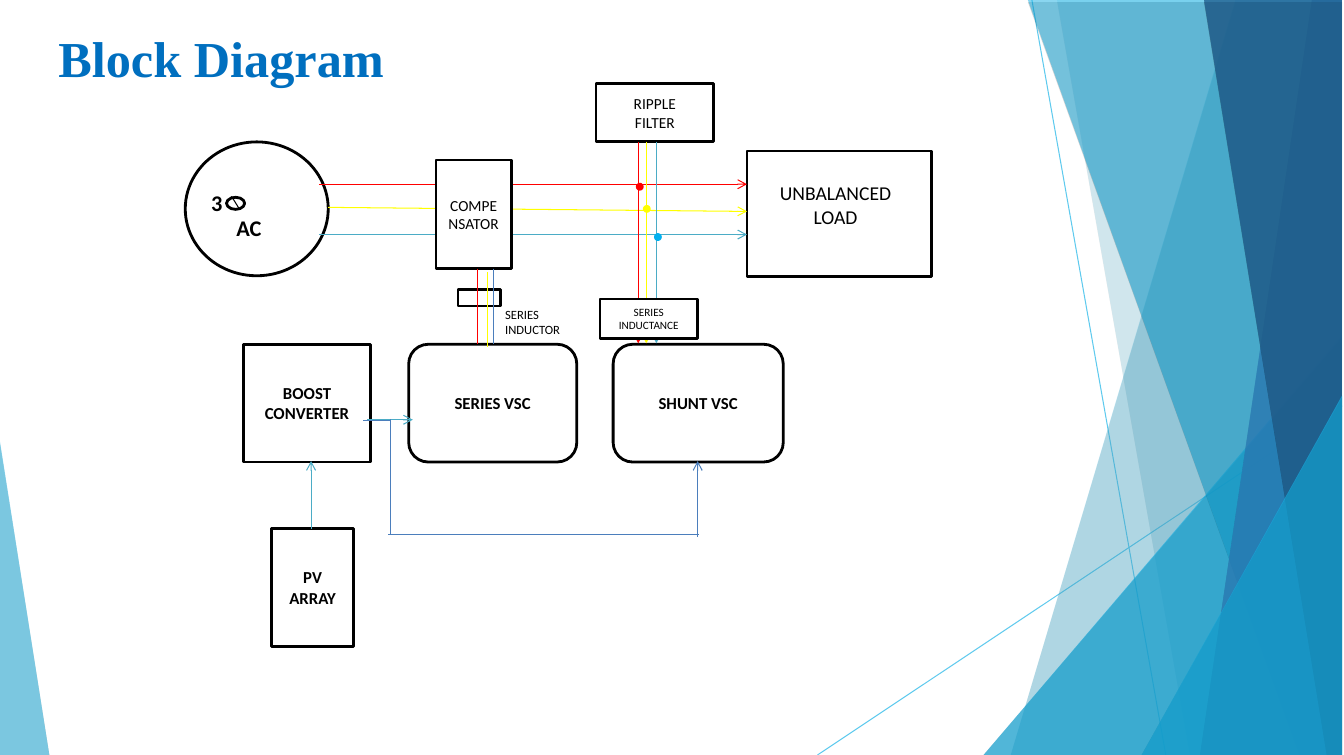
import dataclasses

import lxml.etree
import pptx
import pptx.dml.color
import pptx.enum.shapes
import pptx.enum.text
import pptx.oxml.ns
import pptx.util

SHAPE = pptx.enum.shapes.MSO_SHAPE
ALIGN = pptx.enum.text.PP_ALIGN
ANCHOR = pptx.enum.text.MSO_ANCHOR
qn = pptx.oxml.ns.qn


@dataclasses.dataclass(frozen=True)
class Theme:
    width: float = 13.35
    height: float = 7.5
    columns: float = 133.5
    rows: float = 75
    title_font: str = "Times New Roman"
    body_font: str = "Calibri"
    title_size: int = 36
    source_size: int = 16
    load_size: int = 14
    block_size: int = 12
    unit_size: int = 11
    note_size: int = 9
    small_size: int = 8
    outline: float = 2
    wire: float = 0.75
    title: str = "006FBF"
    black: str = "000000"
    white: str = "FFFFFF"
    red: str = "FF0000"
    yellow: str = "FFFF00"
    teal: str = "4BACC6"
    node_blue: str = "00B0F0"
    steel: str = "4B7EBC"
    sky: str = "5ECAEE"
    cyan: str = "16AFE3"
    blue: str = "2D82C2"
    navy: str = "216191"


class DiagramSlide:
    """Draw styled diagram elements on one slide, placed by grid columns and rows."""

    def __init__(self, presentation, theme):
        self.theme = theme
        presentation.slide_width = pptx.util.Inches(theme.width)
        presentation.slide_height = pptx.util.Inches(theme.height)
        self.column = presentation.slide_width / theme.columns
        self.row = presentation.slide_height / theme.rows
        self.shapes = presentation.slides.add_slide(presentation.slide_layouts[6]).shapes

    def place(self, *lengths):
        units = (self.column, self.row) * 2
        return [round(length * unit) for length, unit in zip(lengths, units)]

    def colour(self, code):
        return pptx.dml.color.RGBColor.from_string(code)

    def add_text(self, shape, lines, size, bold=False, align=ALIGN.CENTER,
                 anchor=ANCHOR.MIDDLE, font=None, colour=None):
        frame = shape.text_frame
        frame.word_wrap = True
        frame.vertical_anchor = anchor
        for index, line in enumerate(lines):
            paragraph = frame.add_paragraph() if index else frame.paragraphs[0]
            paragraph.alignment = align
            run = paragraph.add_run()
            run.text = line
            run.font.name = font or self.theme.body_font
            run.font.size = pptx.util.Pt(size)
            run.font.bold = bold
            run.font.color.rgb = self.colour(colour or self.theme.black)

    def block(self, box, lines=(), size=0, bold=False, kind=SHAPE.RECTANGLE,
              fill=None, line=None):
        shape = self.shapes.add_shape(kind, *self.place(*box))
        shape.shadow.inherit = False
        shape.fill.solid()
        shape.fill.fore_color.rgb = self.colour(fill or self.theme.white)
        shape.line.color.rgb = self.colour(line or self.theme.black)
        shape.line.width = pptx.util.Pt(self.theme.outline)
        if lines:
            self.add_text(shape, lines, size, bold)

    def label(self, box, lines, size, bold=False, align=ALIGN.LEFT):
        shape = self.shapes.add_textbox(*self.place(*box))
        self.add_text(shape, lines, size, bold, align, ANCHOR.TOP)

    def heading(self, box, text):
        shape = self.shapes.add_textbox(*self.place(*box))
        frame = shape.text_frame
        frame.margin_left = frame.margin_right = frame.margin_bottom = 0
        frame.margin_top = pptx.util.Inches(0.01)
        self.add_text(shape, [text], self.theme.title_size, True, ALIGN.LEFT, ANCHOR.TOP,
                      self.theme.title_font, self.theme.title)
        frame.paragraphs[0].space_before = pptx.util.Pt(1)

    def wire(self, start, end, colour, arrow=False):
        connector = self.shapes.add_connector(
            pptx.enum.shapes.MSO_CONNECTOR.STRAIGHT, *self.place(*start, *end))
        connector.line.color.rgb = self.colour(colour)
        connector.line.width = pptx.util.Pt(self.theme.wire)
        properties = connector.element.spPr
        if arrow:
            lxml.etree.SubElement(properties.find(qn("a:ln")), qn("a:tailEnd"), type="arrow")
        lxml.etree.SubElement(properties, qn("a:effectLst"))

    def polygon(self, points, colour, opacity):
        corners = [self.place(*point) for point in points]
        builder = self.shapes.build_freeform(*corners[0], scale=1.0)
        builder.add_line_segments(corners[1:], close=True)
        shape = builder.convert_to_shape()
        shape.shadow.inherit = False
        shape.line.fill.background()
        shape.fill.solid()
        shape.fill.fore_color.rgb = self.colour(colour)
        value = shape.element.spPr.find(".//" + qn("a:srgbClr"))
        lxml.etree.SubElement(value, qn("a:alpha"), val=str(opacity * 1000))

    def facet(self, points, colour, opacity, shade):
        bottom = self.theme.rows
        shaded = [(x, min(y + 0.2, bottom)) for x, y in points]
        self.polygon(shaded, self.theme.black, shade)
        self.polygon(points, colour, opacity)


def draw_backdrop(slide, theme):
    right, bottom = 133.3, theme.rows
    slide.wire((102.5, 0), (115.8, bottom), theme.sky)
    slide.wire((right, 40.3), (81.2, bottom), theme.sky)
    for top_x, top_y, bottom_x, colour, opacity, shade in (
        (122.7, 0, 100.4, theme.sky, 36, 13),
        (105, 0, 118.2, theme.sky, 20, 7),
        (right, 33.3, 97.7, theme.cyan, 66, 23),
        (102.1, 0, 129.1, theme.cyan, 50, 17),
        (130.3, 0, 119.2, theme.blue, 70, 24),
        (119.6, 0, 131.8, theme.navy, 80, 28),
        (right, 39.3, 113.4, theme.cyan, 66, 23),
    ):
        slide.facet([(right, top_y), (top_x, top_y), (bottom_x, bottom), (right, bottom)],
                    colour, opacity, shade)
    slide.facet([(0, 43.9), (0, bottom), (4.9, bottom)], theme.sky, 70, 24)


def draw_supply_and_load(slide, theme):
    slide.block((18.4, 14.1, 14.2, 13.3), kind=SHAPE.OVAL)
    slide.block((74.2, 15, 18.3, 12.5))
    for start, end, colour in (
        ((31.7, 18.3), (74.2, 18.3), theme.red),
        ((32.6, 20.6), (74.2, 21), theme.yellow),
        ((31.7, 23.3), (74.2, 23.3), theme.teal),
    ):
        slide.wire(start, end, colour, arrow=True)
    slide.label((20, 18.3, 4, 3.7), ["3"], theme.source_size, bold=True)
    slide.block((22.5, 19.6, 1.8, 1.2), kind=SHAPE.OVAL)
    slide.wire((23, 19.5), (23.8, 20.8), theme.black)
    slide.label((22.5, 20.8, 5, 3.7), ["AC"], theme.source_size, bold=True)
    slide.label((75.7, 17.5, 14.6, 5.7), ["UNBALANCED", "LOAD"], theme.load_size,
                align=ALIGN.CENTER)


def draw_converters(slide, theme):
    for box, lines, kind in (
        ((40.6, 34.2, 16.7, 11.7), ["SERIES VSC"], SHAPE.ROUNDED_RECTANGLE),
        ((60.9, 34.2, 16.9, 11.7), ["SHUNT VSC"], SHAPE.ROUNDED_RECTANGLE),
        ((24.2, 34.2, 12.6, 11.7), ["BOOST", "CONVERTER"], SHAPE.RECTANGLE),
        ((27, 52.5, 8.1, 11.7), ["PV", "ARRAY"], SHAPE.RECTANGLE),
    ):
        slide.block(box, lines, theme.block_size, bold=True, kind=kind)
    slide.wire((36.5, 41.7), (41, 41.7), theme.teal, arrow=True)
    slide.wire((30.9, 52.5), (30.9, 45.8), theme.teal, arrow=True)


def draw_filters(slide, theme):
    slide.block((43.3, 15.9, 7.5, 10.8), ["COMPENSATOR"], theme.unit_size)
    slide.block((45.5, 28.8, 4.2, 1.6))
    slide.label((49.2, 30, 8.3, 4), ["SERIES", "INDUCTOR"], theme.note_size)
    slide.block((59.2, 8.3, 11.7, 5.8), ["RIPPLE", "FILTER"], theme.unit_size)
    for x, colour in ((63.4, theme.red), (64.2, theme.yellow), (65.2, theme.teal)):
        slide.wire((x, 14.1), (x, 34.1), colour, arrow=True)
    slide.block((59.6, 29.7, 9.7, 3.9), ["SERIES", "INDUCTANCE"], theme.small_size)
    for x, y, colour in ((63.3, 18.3, theme.red), (65.1, 23.3, theme.node_blue),
                         (64, 20.5, theme.yellow)):
        slide.block((x, y, 0.5, 0.5), kind=SHAPE.OVAL, fill=colour, line=colour)
    for x, y, colour in ((49, 26.7, theme.steel), (48.4, 27, theme.yellow),
                         (47.4, 26.7, theme.red)):
        slide.wire((x, y), (x, y + 7.5), colour)


def draw_direct_current_link(slide, theme):
    slide.wire((69.3, 53.3), (69.3, 45.8), theme.steel, arrow=True)
    slide.wire((38.8, 53.1), (38.8, 41.6), theme.steel)
    slide.wire((69.4, 53.1), (38.5, 53.1), theme.steel)
    slide.wire((38.8, 41.8), (36.1, 41.8), theme.steel)


def main():
    presentation = pptx.Presentation()
    theme = Theme()
    slide = DiagramSlide(presentation, theme)
    draw_backdrop(slide, theme)
    slide.heading((5.8, 2.6, 49.3, 6.3), "Block Diagram")
    draw_supply_and_load(slide, theme)
    draw_converters(slide, theme)
    draw_filters(slide, theme)
    draw_direct_current_link(slide, theme)
    presentation.save("out.pptx")


if __name__ == "__main__":
    main()
